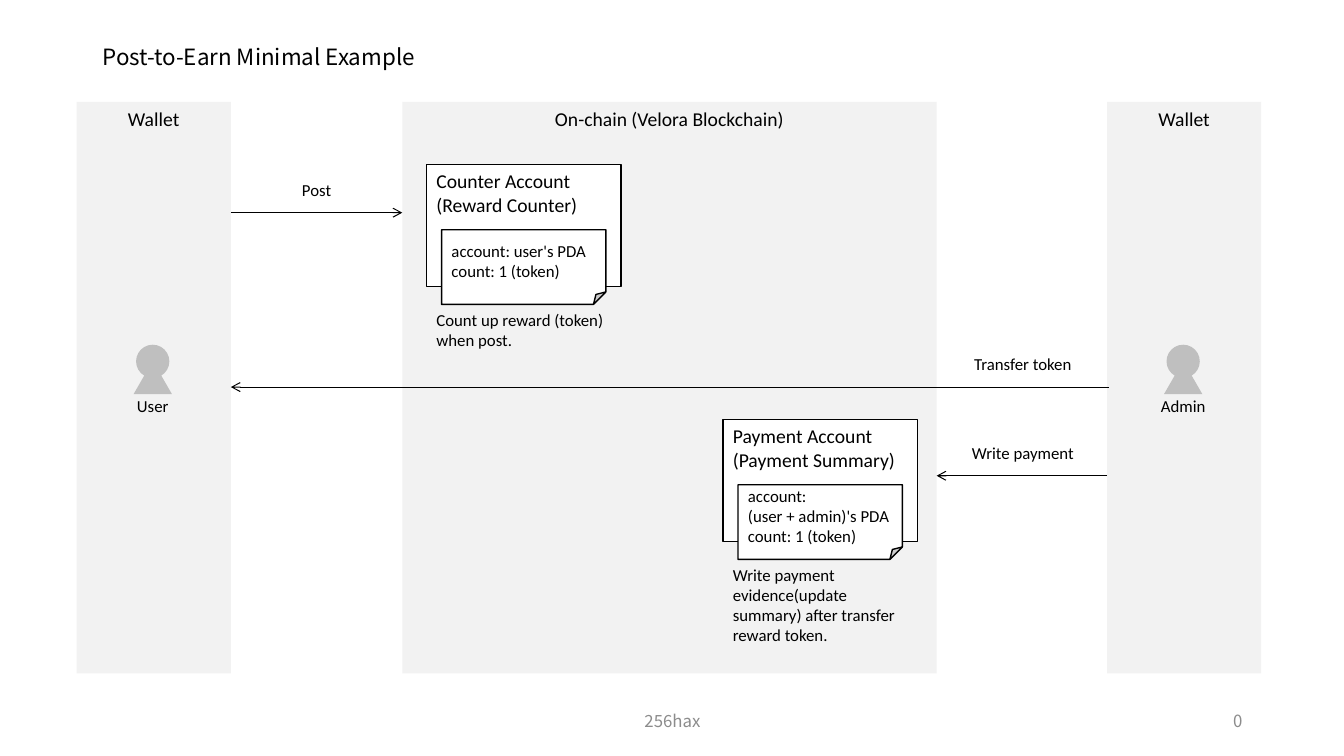
from pptx import Presentation
from pptx import util as u
from pptx.dml.color import RGBColor
from pptx.enum import shapes, text
from pptx.oxml.ns import qn
from lxml import etree

LATIN, CJK = "Calibri", "Noto Sans CJK JP"
BLACK, WHITE, LANE, FIGURE, MUTED = "000000", "FFFFFF", "F2F2F2", "BFBFBF", "8C8C8C"
LEFT, CENTER, RIGHT = text.PP_ALIGN.LEFT, text.PP_ALIGN.CENTER, text.PP_ALIGN.RIGHT
TOP, MIDDLE = text.MSO_ANCHOR.TOP, text.MSO_ANCHOR.MIDDLE
SHAPE = shapes.MSO_SHAPE


def rgb(value):
    return RGBColor.from_string(value)


def write(sp, lines, size=12, align=LEFT, anchor=TOP, font=LATIN, color=BLACK, wrap=True):
    tf = sp.text_frame
    tf.word_wrap = wrap
    tf.vertical_anchor = anchor
    for i, line in enumerate(lines):
        p = tf.paragraphs[0] if i == 0 else tf.add_paragraph()
        p.alignment = align
        r = p.add_run()
        r.text = line
        r.font.size = u.Pt(size)
        r.font.name = font
        r.font.color.rgb = rgb(color)
        # Same face for East Asian text
        ea = etree.SubElement(r.font._element, qn("a:ea"))
        ea.set("typeface", font)


def label(s, box, lines, **style):
    sp = s.shapes.add_textbox(*map(u.Inches, box))
    write(sp, lines, **style)
    return sp


def block(s, kind, box, fill, outlined=False):
    sp = s.shapes.add_shape(kind, *map(u.Inches, box))
    sp.shadow.inherit = False
    sp.fill.solid()
    sp.fill.fore_color.rgb = rgb(fill)
    if outlined:
        sp.line.color.rgb = rgb(BLACK)
        sp.line.width = u.Pt(1)
    else:
        sp.line.fill.background()
    return sp


def lane(s, box, heading):
    write(block(s, SHAPE.RECTANGLE, box, LANE), [heading], size=14, align=CENTER, wrap=False)


def person(s, box, name):
    """Head and body centred in the lane, with the name underneath."""
    x, y, w, h = box
    mid = x + w / 2 - 0.01
    block(s, SHAPE.OVAL, (mid - 0.165, y + 2.41, 0.33, 0.33), FIGURE)
    block(s, SHAPE.ISOSCELES_TRIANGLE, (mid - 0.19, y + 2.57, 0.38, 0.33), FIGURE)
    label(s, (x, y + 2.87, w - 0.02, 0.3), [name], align=CENTER)


def account(s, box, heading, data, caption):
    """Account card with a data sheet over its lower edge and a caption."""
    x, y, w, h = box
    card = block(s, SHAPE.RECTANGLE, box, WHITE, outlined=True)
    write(card, heading, size=14)
    sheet = block(s, SHAPE.FOLDED_CORNER, (x + 0.15, y + 0.65, w - 0.3, 0.74), WHITE, outlined=True)
    write(sheet, data, anchor=MIDDLE)
    label(s, (x, y + 1.39, w, 0.74), [caption])


def message(s, start, end, y, name, name_box):
    """Horizontal arrow with its name above."""
    c = s.shapes.add_connector(shapes.MSO_CONNECTOR.STRAIGHT,
                               *map(u.Inches, (start, y, end, y)))
    c.line.color.rgb = rgb(BLACK)
    c.line.width = u.Pt(0.75)
    tail = etree.SubElement(c.line._get_or_add_ln(), qn("a:tailEnd"))
    tail.set("type", "arrow")
    etree.SubElement(c._element.spPr, qn("a:effectLst"))
    x, w = name_box
    label(s, (x, y - 0.38, w, 0.35), [name], align=CENTER)


def footer(s, box, line, align):
    label(s, box, [line], align=align, anchor=MIDDLE, font=CJK, color=MUTED)


prs = Presentation()
prs.slide_width, prs.slide_height = u.Inches(13.33), u.Inches(7.5)
s = prs.slides.add_slide(prs.slide_layouts[6])

# Title
title = label(s, (0.92, 0.4, 11.5, 0.35), ["Post-to-Earn Minimal Example"],
              size=16, anchor=MIDDLE, font=CJK)
title.text_frame.paragraphs[0].line_spacing = 0.9

# Lanes
lane_top, lane_height = 1.01, 5.67
user_lane = (0.76, lane_top, 1.53, lane_height)
chain_lane = (3.99, lane_top, 5.3, lane_height)
admin_lane = (10.98, lane_top, 1.53, lane_height)
lane(s, chain_lane, "On-chain (Velora Blockchain)")
for box, name in ((user_lane, "User"), (admin_lane, "Admin")):
    lane(s, box, "Wallet")
    person(s, box, name)

# Accounts on the chain
account(s, (4.23, 1.63, 1.93, 1.21), ["Counter Account", "(Reward Counter)"],
        ["account: user's PDA", "count: 1 (token)"],
        "Count up reward (token) when post.")
account(s, (7.17, 4.16, 1.93, 1.21), ["Payment Account", "(Payment Summary)"],
        ["account:", "(user + admin)'s PDA", "count: 1 (token)"],
        "Write payment evidence(update summary) after transfer reward token.")

# Messages between lanes
user_edge = user_lane[0] + user_lane[2]
chain_left, chain_right = chain_lane[0], chain_lane[0] + chain_lane[2]
admin_edge = admin_lane[0]
left_gap, right_gap = (user_edge, 1.7), (chain_right, 1.71)
message(s, user_edge, chain_left, 2.11, "Post", left_gap)
message(s, admin_edge + 0.02, user_edge, 3.84, "Transfer token", right_gap)
message(s, admin_edge, chain_right, 4.72, "Write payment", right_gap)

# Footer
footer(s, (4.42, 6.95, 4.5, 0.4), "256hax", CENTER)
footer(s, (9.42, 6.95, 3, 0.4), "0", RIGHT)

prs.save("out.pptx")
